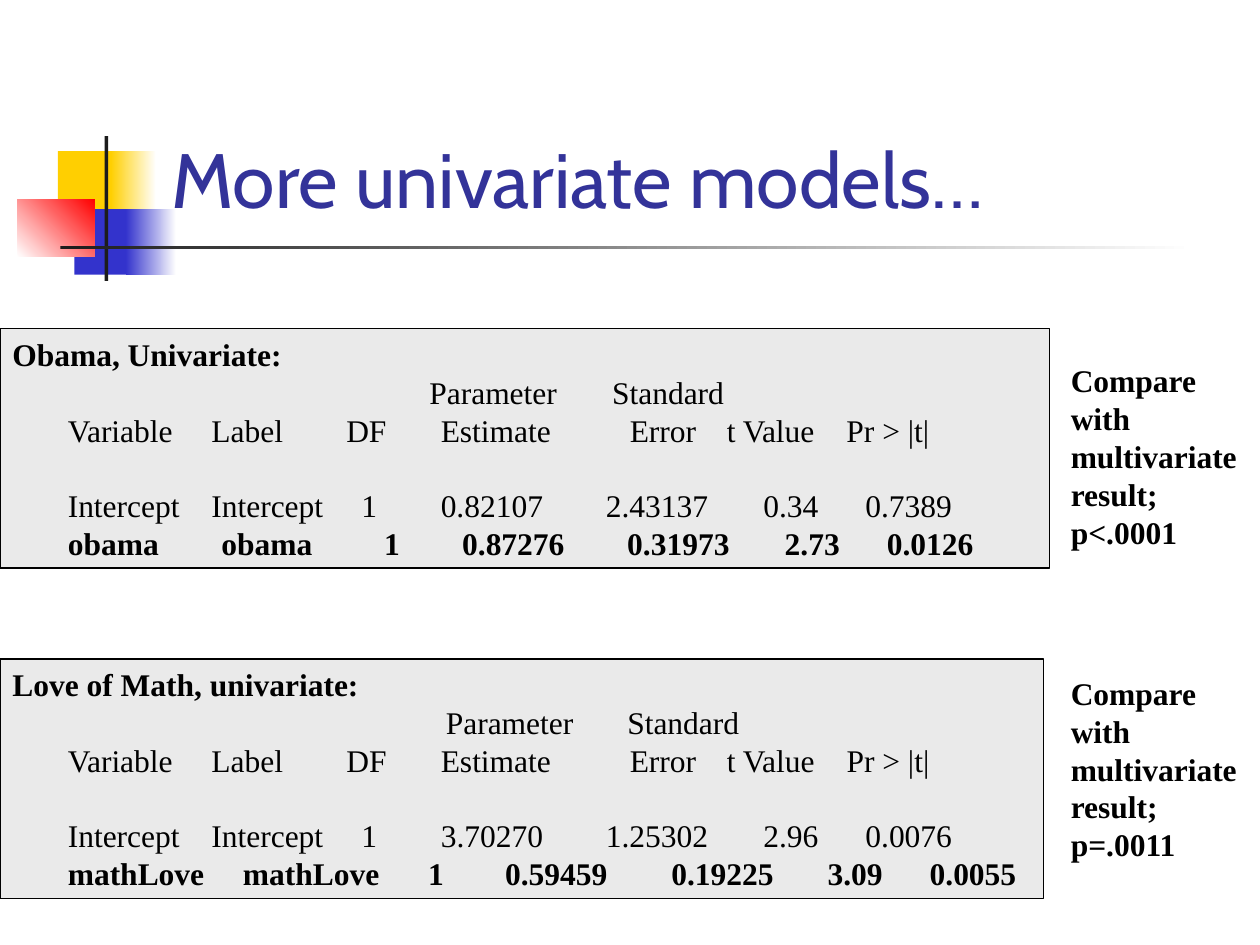
from lxml import etree
from pptx import Presentation
from pptx.dml.color import RGBColor
from pptx.enum import shapes, text
from pptx.oxml import ns
from pptx.util import Inches, Pt

WHITE = RGBColor(255, 255, 255)
BLACK = RGBColor(0, 0, 0)
YELLOW = RGBColor(0xFF, 0xCF, 0x01)
BLUE = RGBColor(0x33, 0x33, 0xCC)
RED = RGBColor(255, 0, 0)
DARK = RGBColor(0x1C, 0x1C, 0x1C)
TITLE_BLUE = RGBColor(0x33, 0x33, 0x99)
PANEL_GRAY = RGBColor(0xEA, 0xEA, 0xEA)
LINE_PITCH = 21.6

DECORATIONS = [
    ((0.46, 1.2, 0.48, 0.52), [YELLOW], 0),
    ((0.88, 1.2, 0.36, 0.52), [YELLOW, WHITE], 0),
    ((0.59, 1.66, 0.46, 0.52), [BLUE], 0),
    ((1, 1.66, 0.4, 0.52), [BLUE, WHITE], 0),
    ((0.14, 1.58, 0.61, 0.46), [WHITE, RED], 45),
    ((0.83, 1.08, 0.03, 1.15), [DARK], 0),
    ((0.48, 1.95, 9, 0.03), [DARK, WHITE], 0),
]

HEADINGS = ["Variable", "Label", "DF", "Estimate", "Error", "t Value", "Pr > |t|"]
HEADING_TABS = [0.44, 1.58, 2.65, 3.4, 4.9, 5.67, 6.62]
INTERCEPT_TABS = [0.44, 1.58, 2.77, 3.4, 4.71, 5.96, 6.77]

MODELS = [
    {
        "title": "Obama, Univariate:",
        "panel": (0, 2.61, 8.33, 1.9),
        "top_tabs": [3.31, 4.76],
        "intercept": ["Intercept", "Intercept", "1", "0.82107", "2.43137", "0.34", "0.7389"],
        "predictor": ["obama", "obama", "1", "0.87276", "0.31973", "2.73", "0.0126"],
        "predictor_tabs": [0.44, 1.66, 2.95, 3.57, 4.88, 6.13, 6.94],
        "note": "Compare with multivariate result; p<.0001",
        "note_top": 2.82,
    },
    {
        "title": "Love of Math, univariate:",
        "panel": (0, 5.23, 8.28, 1.9),
        "top_tabs": [3.44, 4.88],
        "intercept": ["Intercept", "Intercept", "1", "3.70270", "1.25302", "2.96", "0.0076"],
        "predictor": ["mathLove", "mathLove", "1", "0.59459", "0.19225", "3.09", "0.0055"],
        "predictor_tabs": [0.44, 1.83, 3.3, 3.91, 5.23, 6.47, 7.28],
        "note": "Compare with multivariate result; p=.0011",
        "note_top": 5.3,
    },
]


def write(para, words, size=18, font="Times New Roman", color=BLACK, bold=False,
          tabs=(), before=0, pitch=LINE_PITCH):
    para.alignment = text.PP_ALIGN.LEFT
    para.space_before = Pt(before)
    if pitch:
        para.line_spacing = Pt(pitch)
    if tabs:
        stops = etree.SubElement(para._p.get_or_add_pPr(), ns.qn("a:tabLst"))
        for place in tabs:
            etree.SubElement(stops, ns.qn("a:tab"), pos=str(Inches(place)), algn="l")
    span = para.add_run()
    span.text = words
    span.font.size = Pt(size)
    span.font.name = font
    span.font.bold = bold
    span.font.color.rgb = color


def add_rectangle(page, place, colors, angle=0):
    box = page.shapes.add_shape(shapes.MSO_SHAPE.RECTANGLE, *map(Inches, place))
    box.shadow.inherit = False
    box.line.fill.background()
    if len(colors) == 1:
        box.fill.solid()
        box.fill.fore_color.rgb = colors[0]
    else:
        box.fill.gradient()
        box.fill.gradient_angle = angle
        for stop, color in zip(box.fill.gradient_stops, colors):
            stop.color.rgb = color
    return box


def add_text(page, place, words, anchor=text.MSO_ANCHOR.TOP, **style):
    box = page.shapes.add_textbox(*map(Inches, place))
    box.text_frame.word_wrap = True
    box.text_frame.vertical_anchor = anchor
    write(box.text_frame.paragraphs[0], words, **style)


def add_panel(page, model):
    panel = add_rectangle(page, model["panel"], [PANEL_GRAY])
    panel.line.color.rgb = BLACK
    panel.line.width = Pt(0.75)
    frame = panel.text_frame
    frame.word_wrap = True
    frame.vertical_anchor = text.MSO_ANCHOR.TOP
    write(frame.paragraphs[0], model["title"], bold=True)
    rows = [
        (["Parameter", "Standard"], model["top_tabs"], {}),
        (HEADINGS, HEADING_TABS, {}),
        (model["intercept"], INTERCEPT_TABS, {"before": LINE_PITCH}),
        (model["predictor"], model["predictor_tabs"], {"bold": True}),
    ]
    for cells, tabs, style in rows:
        write(frame.add_paragraph(), "\t" + "\t".join(cells), tabs=tabs, **style)


def main():
    deck = Presentation()
    deck.slide_width, deck.slide_height = Inches(10), Inches(7.5)
    page = deck.slides.add_slide(deck.slide_layouts[6])
    for place, colors, angle in DECORATIONS:
        add_rectangle(page, place, colors, angle)
    add_text(page, (1.26, 0.23, 8.52, 1.6), "More univariate models…",
             anchor=text.MSO_ANCHOR.BOTTOM, size=44, font="Cabin",
             color=TITLE_BLUE, pitch=None)
    for model in MODELS:
        add_panel(page, model)
        add_text(page, (8.4, model["note_top"], 1.6, 1.6), model["note"], bold=True)
    deck.save("out.pptx")


if __name__ == "__main__":
    main()
